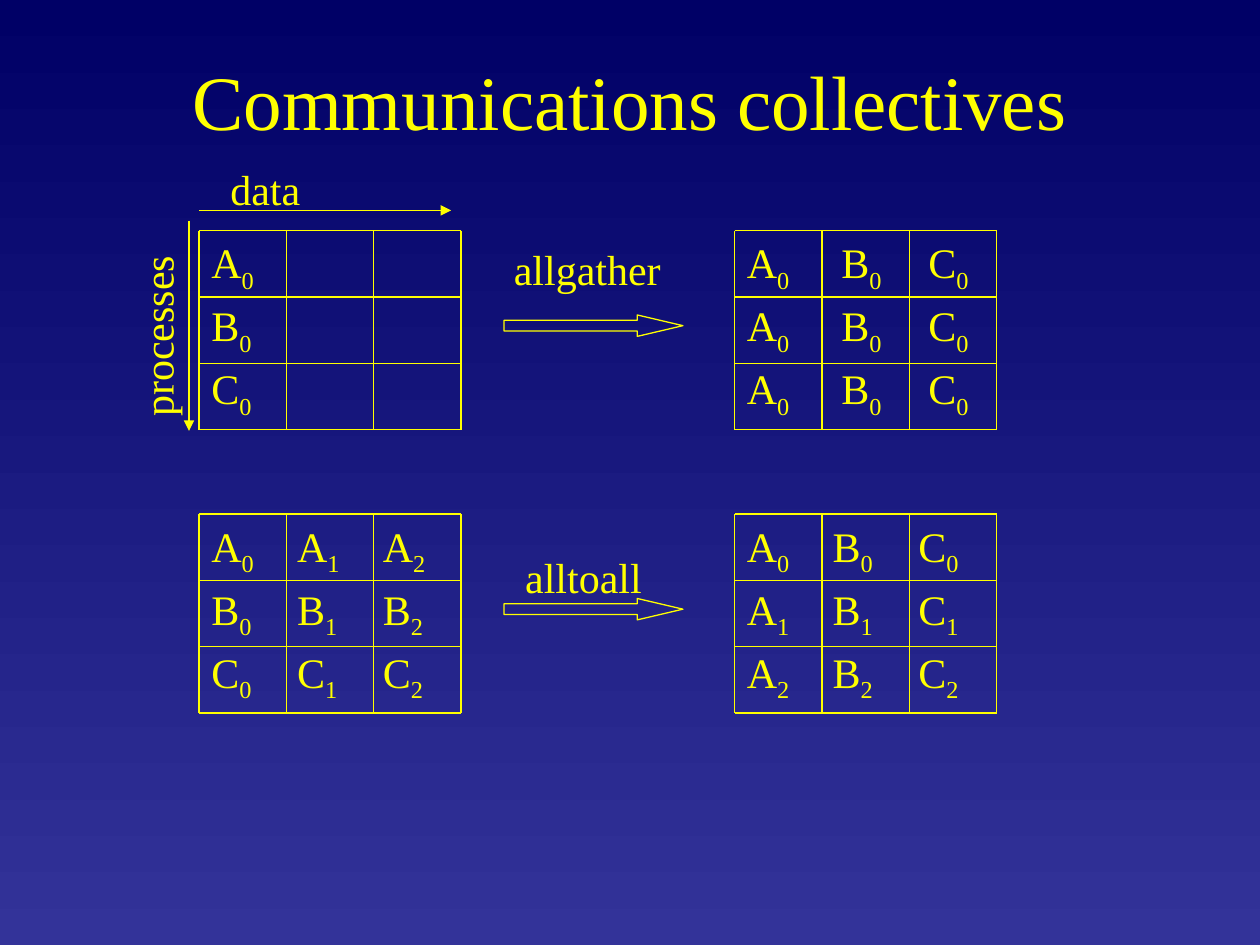
from dataclasses import dataclass

from lxml.etree import SubElement
from pptx import Presentation
from pptx.dml.color import RGBColor as RGB
from pptx.enum.shapes import MSO_CONNECTOR as CONN, MSO_SHAPE as SHAPE
from pptx.enum.text import MSO_ANCHOR as ANCHOR, MSO_AUTO_SIZE as FIT, PP_ALIGN as ALIGN
from pptx.oxml.ns import qn
from pptx.util import Inches, Pt


@dataclass(frozen=True)
class Theme:
    ink: RGB = RGB(0xFF, 0xFF, 0x00)
    top: RGB = RGB(0x00, 0x00, 0x66)
    bottom: RGB = RGB(0x33, 0x33, 0x99)
    font: str = "Times New Roman"
    title: int = 44
    body: int = 24
    line: float = 0.75


T = Theme()
EVEN, SPREAD = (0, 0.68, 1.36), (0, 0.75, 1.44)   # text offsets of the columns

# Content: each operation turns the left matrix into the right one
TITLE = "Communications collectives"
OPERATIONS = [
    dict(name="allgather", label=(3.98, 1.88, 1.45), offsets=(EVEN, SPREAD),
         before=["A0", "B0", "C0"],
         after=["A0 B0 C0", "A0 B0 C0", "A0 B0 C0"]),
    dict(name="alltoall", label=(4.07, 4.33, 1.2), offsets=(EVEN, EVEN),
         before=["A0 A1 A2", "B0 B1 B2", "C0 C1 C2"],
         after=["A0 B0 C0", "A1 B1 C1", "A2 B2 C2"]),
]

# Layout, in inches
SIZE = 3                          # rows and columns of a matrix
MATRIX_W, MATRIX_H = 2.08, 1.58
LEFTS = (1.58, 5.83)              # before, after
TOP, BLOCK_STEP = 1.83, 2.25
TEXT_STEP, TEXT_SIZE = 0.5, 0.56
ARROW_X, ARROW_DY, ARROW_W, ARROW_H = 4, 0.67, 1.42, 0.17


def style(r, size):
    r.font.name, r.font.size = T.font, Pt(size)
    r.font.color.rgb = T.ink


def text(s, words, x, y, w, h=0.5, rotation=0):
    box = s.shapes.add_textbox(*map(Inches, (x, y, w, h)))
    box.rotation = rotation
    tf = box.text_frame
    tf.word_wrap, tf.auto_size = True, FIT.SHAPE_TO_FIT_TEXT
    p = tf.paragraphs[0]
    p.text = words
    style(p.runs[0], T.body)
    return p


def line(shapes, x1, y1, x2, y2, arrow=False):
    c = shapes.add_connector(CONN.STRAIGHT, *map(Inches, (x1, y1, x2, y2)))
    c.line.color.rgb, c.line.width = T.ink, Pt(T.line)
    if arrow:
        SubElement(c.line._get_or_add_ln(), qn("a:tailEnd"), type="triangle")
    SubElement(c._element.spPr, qn("a:effectLst"))


def matrix(s, rows, x, y, offsets):
    # Grid lines
    shapes = s.shapes.add_group_shape().shapes
    for i in range(SIZE + 1):
        row_y, col_x = y + i * MATRIX_H / SIZE, x + i * MATRIX_W / SIZE
        line(shapes, x, row_y, x + MATRIX_W, row_y)
        line(shapes, col_x, y, col_x, y + MATRIX_H)
    # Entries: a letter and its index
    for i, row in enumerate(rows):
        for dx, (letter, index) in zip(offsets, row.split()):
            p = text(s, letter, x + dx, y + i * TEXT_STEP, TEXT_SIZE, TEXT_SIZE)
            r = p.add_run()
            r.text = index
            style(r, T.body)
            r.font._element.set("baseline", "-25000")


def arrow(s, x, y):
    sp = s.shapes.add_shape(SHAPE.RIGHT_ARROW, *map(Inches, (x, y, ARROW_W, ARROW_H)))
    sp.adjustments[0], sp.adjustments[1] = 0.5, 2.13
    sp.shadow.inherit = False
    sp.fill.background()
    sp.line.color.rgb, sp.line.width = T.ink, Pt(T.line)


def main():
    prs = Presentation()
    prs.slide_width, prs.slide_height = Inches(10), Inches(7.5)
    s = prs.slides.add_slide(prs.slide_layouts[5])

    # Background
    fill = s.background.fill
    fill.gradient()
    fill.gradient_angle = 270
    for stop, color, place in zip(fill.gradient_stops, (T.top, T.bottom), (0, 1)):
        stop.color.rgb, stop.position = color, place

    # Title
    title = s.shapes.title
    title.left, title.top, title.width, title.height = map(Inches, (0.75, 0.17, 8.5, 1.25))
    tf = title.text_frame
    tf.text = TITLE
    tf.vertical_anchor = ANCHOR.MIDDLE
    tf.paragraphs[0].alignment = ALIGN.CENTER
    style(tf.paragraphs[0].runs[0], T.title)

    # Axes
    text(s, "data", 1.73, 1.25, 0.82)
    text(s, "processes", 0.47, 2.38, 1.55, rotation=270)
    line(s.shapes, 1.5, 1.75, 1.5, 3.42, arrow=True)
    line(s.shapes, 1.58, 1.67, 3.58, 1.67, arrow=True)

    # Operations
    for k, op in enumerate(OPERATIONS):
        y = TOP + k * BLOCK_STEP
        for rows, x, offsets in zip((op["before"], op["after"]), LEFTS, op["offsets"]):
            matrix(s, rows, x, y, offsets)
        arrow(s, ARROW_X, y + ARROW_DY)
        text(s, op["name"], *op["label"])

    prs.save("out.pptx")


if __name__ == "__main__":
    main()
